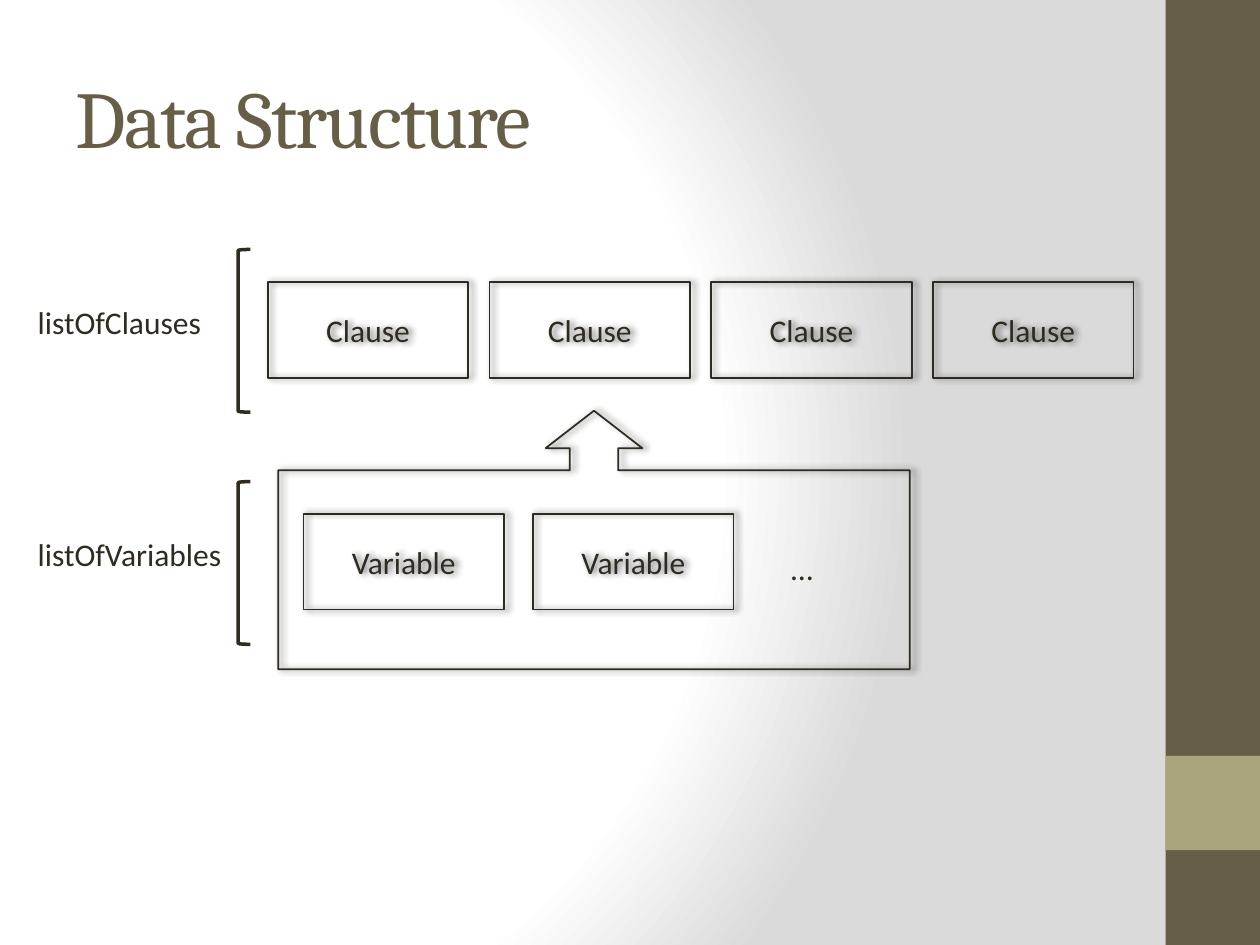
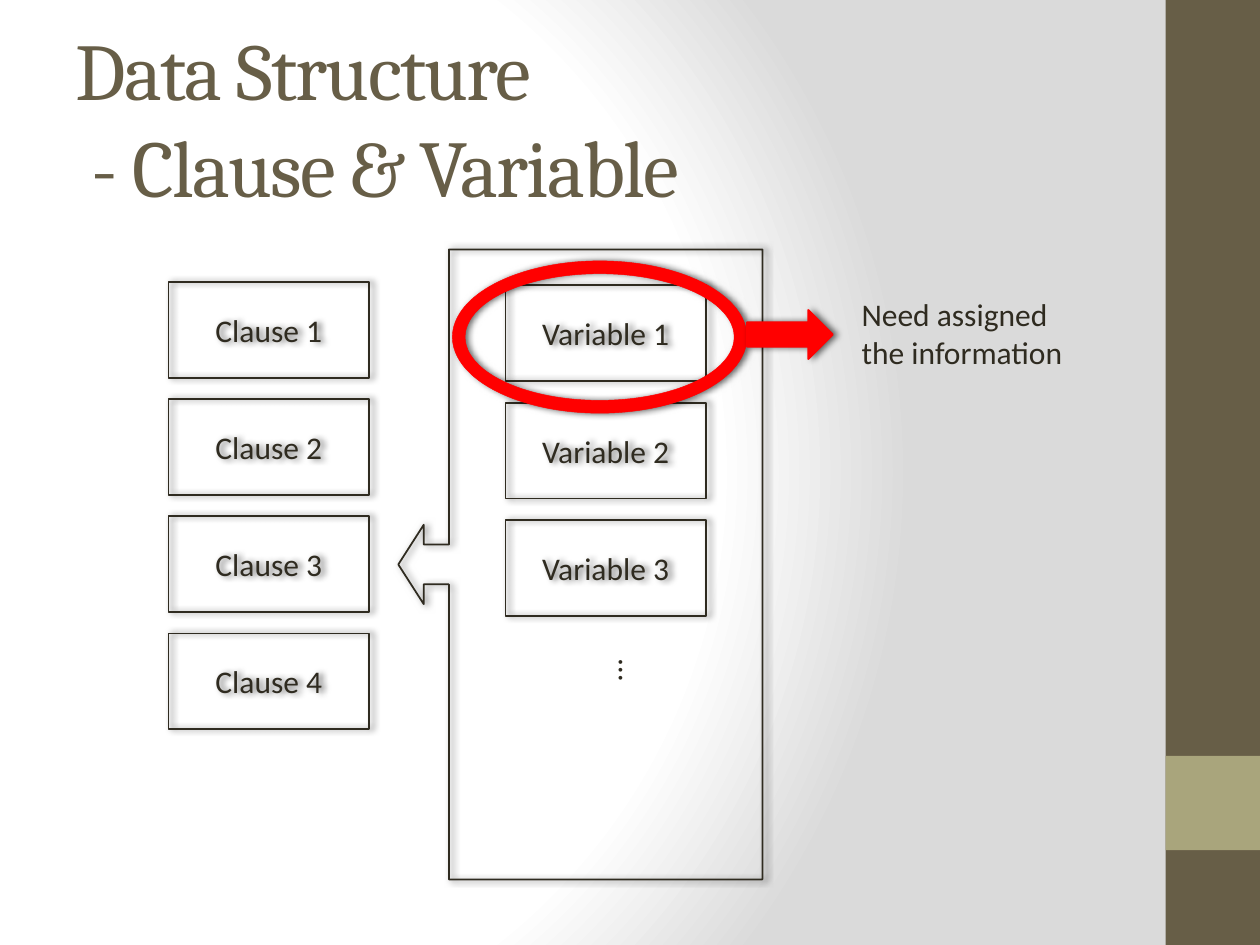
from dataclasses import dataclass, replace
from typing import Any, Optional

from lxml.etree import SubElement
from pptx import Presentation
from pptx.dml.color import RGBColor
from pptx.enum.shapes import MSO_SHAPE as Preset
from pptx.enum.text import MSO_ANCHOR as Anchor, MSO_AUTO_SIZE as AutoSize, PP_ALIGN as Align
from pptx.oxml import parse_xml
from pptx.oxml.ns import nsdecls, qn
from pptx.util import Cm, Pt

# Shared look
BROWN = RGBColor(0x67, 0x5E, 0x47)
SAGE = RGBColor(0xA9, 0xA5, 0x7C)
INK = RGBColor(0x2F, 0x2B, 0x20)
RED = RGBColor(0xFF, 0x00, 0x00)
TITLE_FONT, BODY_FONT = "Cambria", "Calibri"
GRADIENT_STOPS = ((0, "FFFFFF"), (75, "FFFFFF"), (100, "DADADA"))


@dataclass(frozen=True)
class Frame:
    """Position and size in centimetres."""
    left: float
    top: float
    width: float
    height: float

    def lengths(self) -> tuple:
        return Cm(self.left), Cm(self.top), Cm(self.width), Cm(self.height)

    def moved(self, right: float = 0, down: float = 0) -> "Frame":
        return replace(self, left=self.left + right, top=self.top + down)


@dataclass(frozen=True)
class Look:
    line: Optional[RGBColor] = INK
    width: float = 1
    fill: Optional[RGBColor] = None
    shadow: bool = True


OUTLINE = Look()
BRACKET = Look(width=2, shadow=False)
ALERT = Look(line=RED, fill=RED)


def add_shadow(shape: Any) -> None:
    effects = shape._element.spPr.find(qn("a:effectLst"))
    shadow = SubElement(effects, qn("a:outerShdw"), blurRad=str(Pt(4)), dist=str(Pt(2)),
                        dir="0", algn="tl", rotWithShape="0")
    color = SubElement(shadow, qn("a:srgbClr"), val="000000")
    SubElement(color, qn("a:alpha"), val="60000")


def add_preset(shapes: Any, preset: Preset, frame: Frame, look: Look = OUTLINE,
               adjustments: tuple = ()) -> Any:
    shape = shapes.add_shape(preset, *frame.lengths())
    for index, value in enumerate(adjustments):
        shape.adjustments[index] = value
    if look.fill is None:
        shape.fill.background()
    else:
        shape.fill.solid()
        shape.fill.fore_color.rgb = look.fill
    if look.line is None:
        shape.line.fill.background()
    else:
        shape.line.color.rgb = look.line
        shape.line.width = Pt(look.width)
    shape.shadow.inherit = False
    if look.shadow:
        add_shadow(shape)
    return shape


def write(shape: Any, text: str, align: Align, font: str = BODY_FONT, size: float = 18,
          color: RGBColor = INK) -> None:
    shape.text_frame.text = text
    for para in shape.text_frame.paragraphs:
        para.alignment = align
        para.font.name = font
        para.font.size = Pt(size)
        para.font.color.rgb = color


def add_node(shapes: Any, text: str, frame: Frame) -> None:
    box = add_preset(shapes, Preset.RECTANGLE, frame)
    box.text_frame.vertical_anchor = Anchor.MIDDLE
    write(box, text, Align.CENTER)


def add_nodes(shapes: Any, texts: list[str], first: Frame,
              right: float = 0, down: float = 0) -> None:
    for index, text in enumerate(texts):
        add_node(shapes, text, first.moved(index * right, index * down))


def add_label(shapes: Any, text: str, frame: Frame, rotation: float = 0) -> None:
    box = shapes.add_textbox(*frame.lengths())
    box.rotation = rotation
    box.text_frame.word_wrap = False
    box.text_frame.auto_size = AutoSize.SHAPE_TO_FIT_TEXT
    write(box, text, Align.LEFT)


def add_page(deck: Any, heading: str) -> Any:
    page = deck.slides.add_slide(deck.slide_layouts[5])
    title = page.shapes.title
    title.left, title.top, title.width, title.height = Frame(1.27, 0.76, 21.16, 3.18).lengths()
    title.text_frame.vertical_anchor = Anchor.MIDDLE
    title.text_frame.auto_size = AutoSize.NONE
    write(title, heading, Align.LEFT, TITLE_FONT, 46, BROWN)
    for para in title.text_frame.paragraphs:
        for span in para.runs:
            span.font._element.set("spc", "-100")
    return page


def style_master(deck: Any, page: Any) -> None:
    """Give the master its gradient and move the side bands onto it."""
    master = deck.slide_master
    stops = "".join(f'<a:gs pos="{pos * 1000}"><a:srgbClr val="{color}"/></a:gs>'
                    for pos, color in GRADIENT_STOPS)
    background = parse_xml(
        f'<p:bg {nsdecls("p", "a")}><p:bgPr><a:gradFill rotWithShape="1">'
        f'<a:gsLst>{stops}</a:gsLst><a:path path="circle">'
        '<a:fillToRect l="20000" t="50000" r="100000" b="50000"/></a:path>'
        '</a:gradFill><a:effectLst/></p:bgPr></p:bg>')
    content = master._element.cSld
    for old in content.findall(qn("p:bg")):
        content.remove(old)
    content.insert(0, background)

    bands = ((Frame(23.5, 0, 1.9, 19.05), BROWN), (Frame(23.5, 15.24, 1.9, 1.9), SAGE))
    for position, (frame, color) in enumerate(bands, start=2):
        band = add_preset(page.shapes, Preset.RECTANGLE, frame,
                          Look(line=None, fill=color, shadow=False))
        master.shapes._spTree.insert(position, band._element)


deck = Presentation()
deck.slide_width, deck.slide_height = Cm(25.4), Cm(19.05)
NODE = Frame(0, 0, 4.04, 1.93)
DOTS = Frame(0, 0, 0.97, 1.02)

# Slide 1: lists of clauses and variables
page = add_page(deck, "Data Structure")
style_master(deck, page)
add_nodes(page.shapes, ["Clause"] * 4, NODE.moved(5.4, 5.69), right=4.47)

variables = page.shapes.add_group_shape().shapes
add_preset(variables, Preset.UP_ARROW_CALLOUT, Frame(5.61, 8.28, 12.73, 5.21),
           adjustments=(0.187, 0.187, 0.145, 0.769))
add_nodes(variables, ["Variable"] * 2, NODE.moved(6.12, 10.36), right=4.63)
add_label(variables, "…", DOTS.moved(15.7, 10.95))

for name, top, width in (("listOfClauses", 5.03, 3.86), ("listOfVariables", 9.71, 4.29)):
    add_preset(page.shapes, Preset.LEFT_BRACKET, Frame(4.8, top, 0.25, 3.28), BRACKET)
    add_label(page.shapes, name, Frame(0.51, top + 0.96, width, 1.02))

# Slide 2: variables inside one clause
page = add_page(deck, "Data Structure\v - Clause & Variable")
add_nodes(page.shapes, [f"Clause {number}" for number in range(1, 5)],
          NODE.moved(3.4, 5.69), down=2.36)

variables = page.shapes.add_group_shape().shapes
add_preset(variables, Preset.LEFT_ARROW_CALLOUT, Frame(8.03, 5.03, 7.34, 12.7),
           adjustments=(0.109, 0.109, 0.07, 0.861))
add_nodes(variables, [f"Variable {number}" for number in range(1, 4)],
          NODE.moved(10.19, 5.75), down=2.37)
add_label(variables, "…", DOTS.moved(12.24, 13.03), rotation=90)

# Red highlight and its remark
highlight = page.shapes.add_group_shape().shapes
add_preset(highlight, Preset.DONUT, Frame(9.12, 5.26, 5.94, 3.07),
           replace(ALERT, width=0.25), (0.084,))
add_preset(highlight, Preset.RIGHT_ARROW, Frame(15.06, 6.25, 1.73, 0.99), ALERT)
add_label(page.shapes, "Need assigned\nthe information", Frame(17.12, 5.82, 4.62, 1.8))

deck.save("out.pptx")
